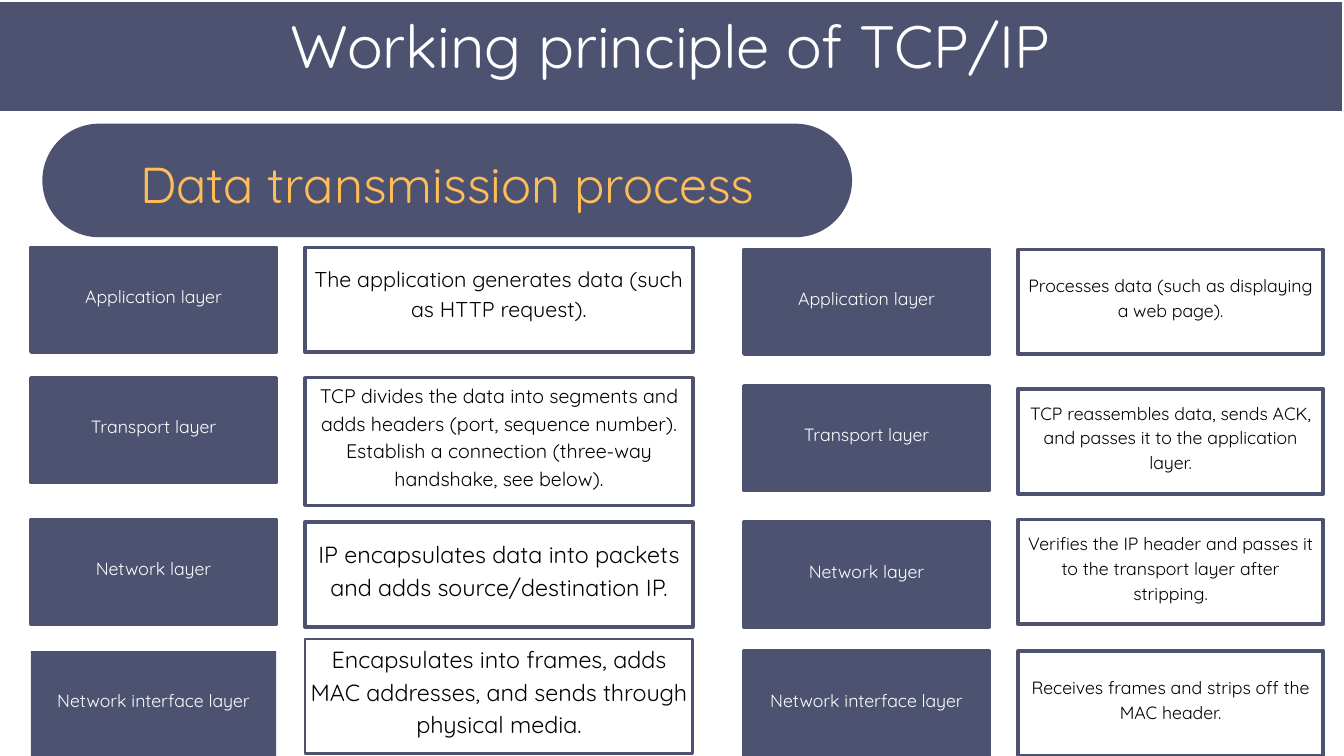
from dataclasses import dataclass

from pptx import Presentation
from pptx.dml.color import RGBColor
from pptx.enum import shapes as sh, text as tx
from pptx.util import Inches, Pt

SLATE = RGBColor(0x4C, 0x52, 0x70)
AMBER = RGBColor(0xFF, 0xBD, 0x59)
WHITE = RGBColor(0xFF, 0xFF, 0xFF)
BLACK = RGBColor(0, 0, 0)
FONT = "Quicksand"
LEADING = 1.4
BOX_HEIGHT = 1.56


@dataclass
class Column:
    left: float
    width: float
    fill: RGBColor | None
    ink: RGBColor


@dataclass
class Box:
    top: float
    text: str
    size: int = 19
    height: float = BOX_HEIGHT
    lift: float = 0.16  # bottom inset that raises the centred text
    border: float = 3.75


def place(shape, left: float, top: float, width: float, height: float) -> None:
    shape.left, shape.top = Inches(left), Inches(top)
    shape.width, shape.height = Inches(width), Inches(height)


def write(shape, text: str, size: int, ink: RGBColor, side: float = 0.06,
          lift: float = 0) -> None:
    """Centre the text, one paragraph per line of the string."""
    frame = shape.text_frame
    frame.text = text
    frame_format = {
        "word_wrap": True,
        "auto_size": tx.MSO_AUTO_SIZE.NONE,
        "vertical_anchor": tx.MSO_ANCHOR.MIDDLE,
        "margin_left": Inches(side),
        "margin_right": Inches(side),
        "margin_top": 0,
        "margin_bottom": Inches(lift),
    }
    for name, value in frame_format.items():
        setattr(frame, name, value)
    for paragraph in frame.paragraphs:
        paragraph.alignment = tx.PP_ALIGN.CENTER
        paragraph.line_spacing = Pt(round(size * LEADING, 1))
        for name, value in {"name": FONT, "size": Pt(size), "bold": False}.items():
            setattr(paragraph.font, name, value)
        paragraph.font.color.rgb = ink


def add_panel(slide, kind, left: float, top: float, width: float, height: float,
              fill: RGBColor | None, line: RGBColor | None = None,
              border: float = 3.75):
    panel = slide.shapes.add_shape(kind, 0, 0, 0, 0)
    place(panel, left, top, width, height)
    panel.shadow.inherit = False
    if fill is None:
        panel.fill.background()
    else:
        panel.fill.solid()
        panel.fill.fore_color.rgb = fill
    if line is None:
        panel.line.fill.background()
    else:
        panel.line.color.rgb = line
        panel.line.width = Pt(border)
    return panel


def add_column(slide, column: Column, boxes: list[Box]) -> None:
    for box in boxes:
        panel = add_panel(slide, sh.MSO_SHAPE.RECTANGLE, column.left, box.top,
                          column.width, box.height, column.fill,
                          SLATE if box.border else None, box.border)
        write(panel, box.text, box.size, column.ink, lift=box.lift)


SENDER_LAYERS = [
    Box(3.68, "Application layer"),
    Box(5.62, "Transport layer"),
    Box(7.73, "Network layer"),
    Box(9.69, "Network interface layer", border=0),
]
SENDER_STEPS = [
    Box(3.68, "The application generates data (such as HTTP request).", 23, lift=0.24),
    Box(5.62, "TCP divides the data into segments and adds headers (port, sequence number).\n"
        "Establish a connection (three-way handshake, see below).", 21, 1.9, 0.19),
    Box(7.77, "IP encapsulates data into packets and adds source/destination IP.", 25,
        lift=0.19),
    Box(9.51, "Encapsulates into frames, adds MAC addresses, and sends through "
        "physical media.", 25, 1.7, 0.2, 3),
]
RECEIVER_LAYERS = [
    Box(3.71, "Application layer"),
    Box(5.74, "Transport layer"),
    Box(7.77, "Network layer"),
    Box(9.69, "Network interface layer"),
]
RECEIVER_STEPS = [
    Box(3.71, "Processes data (such as displaying a web page)."),
    Box(5.79, "TCP reassembles data, sends ACK, and passes it to the application layer."),
    Box(7.73, "Verifies the IP header and passes it to the transport layer after stripping."),
    Box(9.69, "Receives frames and strips off the MAC header."),
]
COLUMNS = [
    (Column(0.46, 3.65, SLATE, WHITE), SENDER_LAYERS),
    (Column(4.54, 5.77, None, BLACK), SENDER_STEPS),
    (Column(11.07, 3.65, SLATE, WHITE), RECEIVER_LAYERS),
    (Column(15.15, 4.54, None, BLACK), RECEIVER_STEPS),
]


def main() -> None:
    deck = Presentation()
    deck.slide_width, deck.slide_height = Inches(20), Inches(11.25)
    slide = deck.slides.add_slide(deck.slide_layouts[5])

    title = slide.shapes.title
    place(title, -0.05, -0.55, 20.05, 2.24)
    write(title, "Working principle of TCP/IP", 64, WHITE)
    header = add_panel(slide, sh.MSO_SHAPE.RECTANGLE, -0.05, 0, 20.05, 1.68, SLATE, WHITE)
    title._element.addprevious(header._element)  # header band goes behind the title

    process = add_panel(slide, sh.MSO_SHAPE.ROUNDED_RECTANGLE, 0.63, 1.84, 12.05, 1.69, SLATE)
    process.adjustments[0] = 0.5
    write(process, "Data transmission process", 54, AMBER, side=0, lift=0.06)

    for column, boxes in COLUMNS:
        add_column(slide, column, boxes)

    deck.save("out.pptx")


if __name__ == "__main__":
    main()
